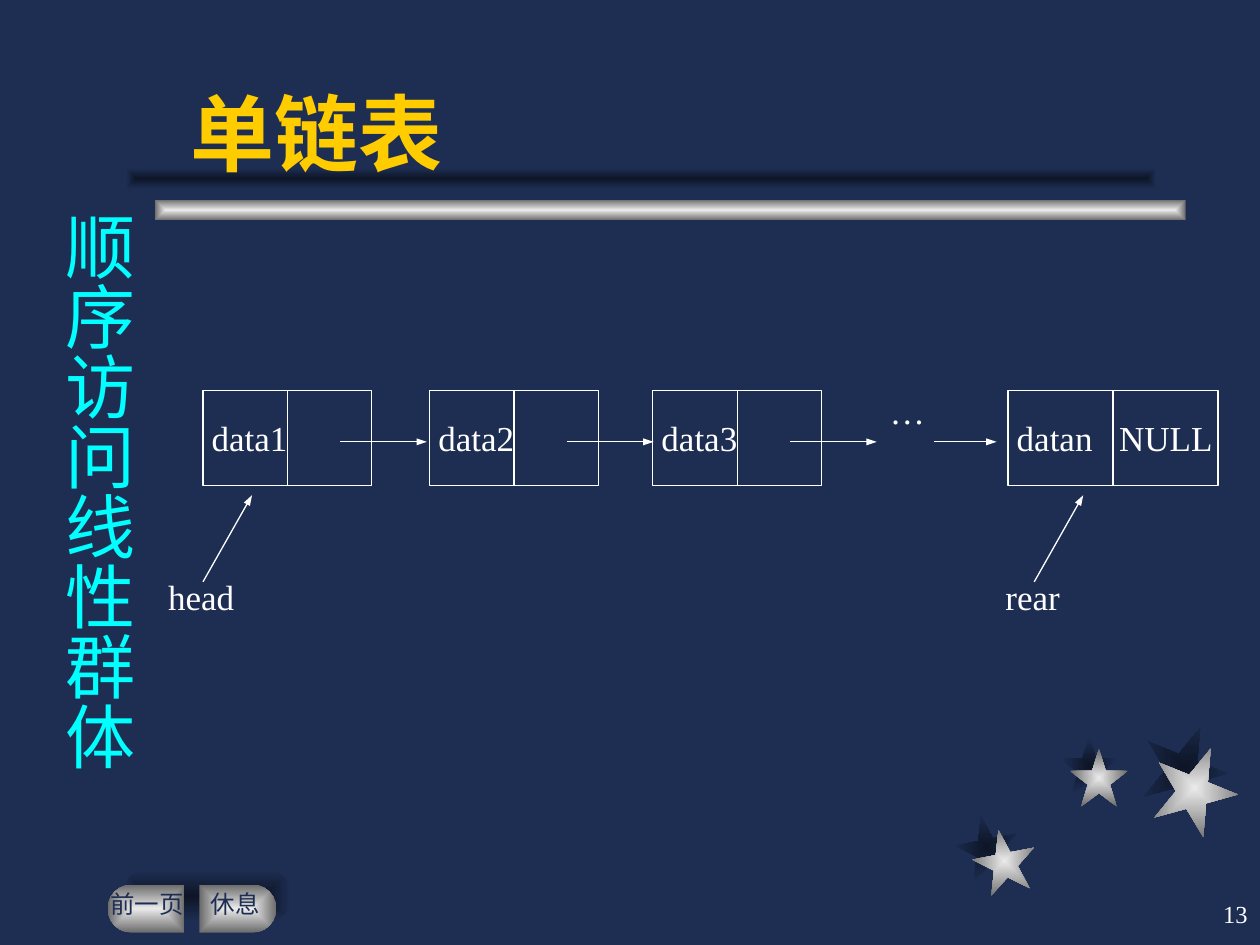
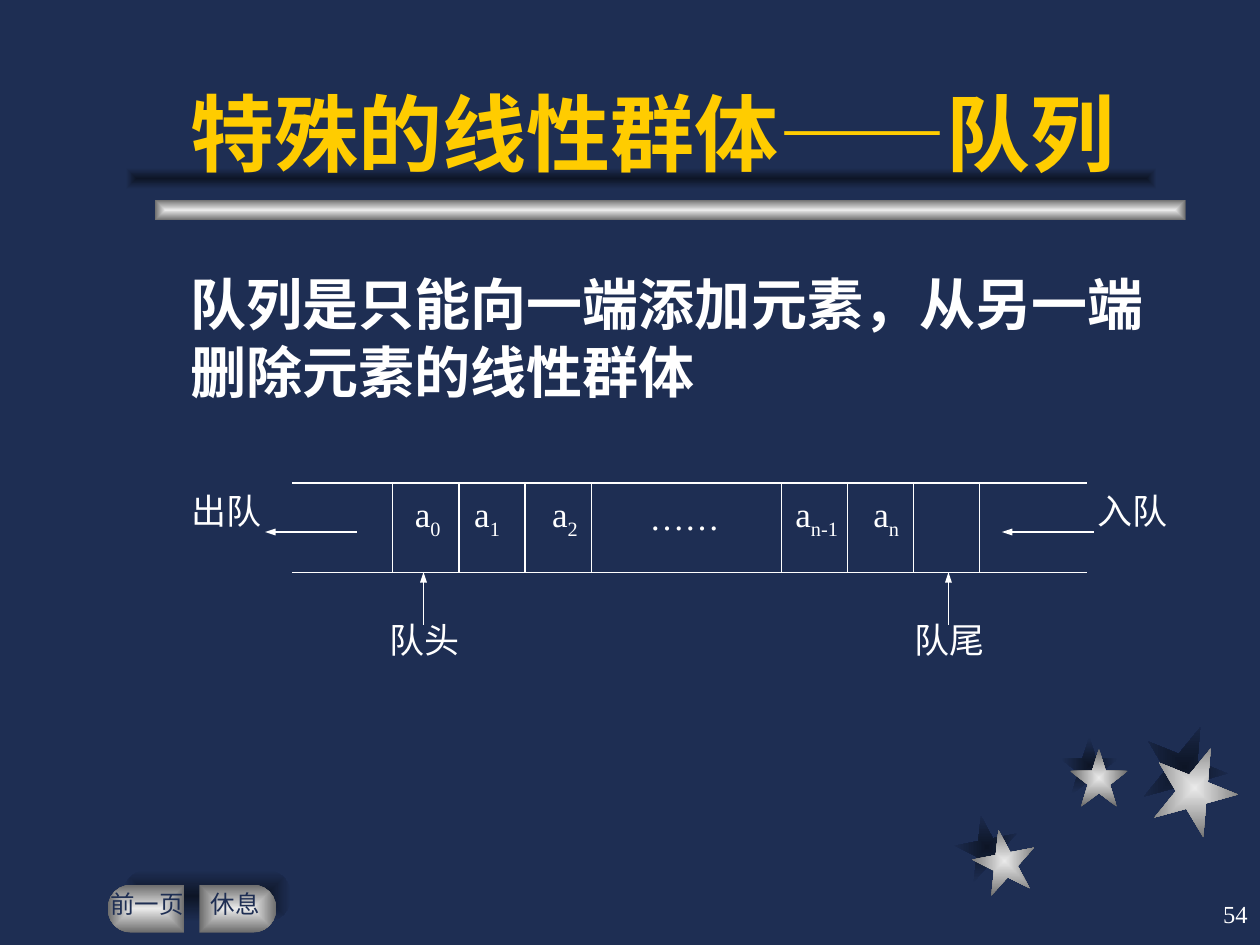
import math

from lxml import etree
from pptx import Presentation
from pptx.dml.color import RGBColor
from pptx.enum.shapes import MSO_CONNECTOR, MSO_SHAPE
from pptx.enum.text import MSO_ANCHOR, PP_ALIGN
from pptx.oxml import parse_xml
from pptx.oxml.ns import nsdecls, qn
from pptx.util import Pt

STRAIGHT = MSO_CONNECTOR.STRAIGHT
RECT, PILL, STAR = MSO_SHAPE.RECTANGLE, MSO_SHAPE.ROUNDED_RECTANGLE, MSO_SHAPE.STAR_5_POINT
LEFT, CENTER, RIGHT = PP_ALIGN.LEFT, PP_ALIGN.CENTER, PP_ALIGN.RIGHT
TOP, MIDDLE, BOTTOM = MSO_ANCHOR.TOP, MSO_ANCHOR.MIDDLE, MSO_ANCHOR.BOTTOM

NAVY, WHITE, GOLD, CYAN = "1E2E53", "FFFFFF", "FFCC00", "00FFFF"
SHADE = ("0D1526", NAVY)
SILVER = ("EAEAEA", "6B6B6B")
SERIF, SANS, HAN = "Times New Roman", "Arial", "Noto Sans CJK SC"
PADDED = (7.2, 3.6, 7.2, 3.6)
FLUSH = (0, 0, 0, 0)


def color(value):
    return RGBColor.from_string(value)


# ---- Drawing helpers ----
def glow(shape, stops):
    """Fill a shape from its centre outwards, without line or shadow."""
    shape.shadow.inherit = False
    shape.line.fill.background()
    shape.fill.background()
    inner, outer = stops
    gradient = parse_xml(
        f'<a:gradFill {nsdecls("a")} rotWithShape="1"><a:gsLst>'
        f'<a:gs pos="0"><a:srgbClr val="{inner}"/></a:gs>'
        f'<a:gs pos="100000"><a:srgbClr val="{outer}"/></a:gs></a:gsLst>'
        '<a:path path="rect"><a:fillToRect l="50000" t="50000" r="50000" b="50000"/>'
        '</a:path></a:gradFill>')
    properties = shape.element.spPr
    properties.replace(properties.find(qn("a:noFill")), gradient)


def glowing(slide, kind, left, top, width, height, stops):
    shape = slide.shapes.add_shape(kind, Pt(left), Pt(top), Pt(width), Pt(height))
    glow(shape, stops)
    return shape


def style(run, size, ink, face, east, bold):
    run.font.size = Pt(size)
    run.font.name = face
    run.font.bold = bold
    run.font.color.rgb = color(ink)
    latin = run.font._element.find(qn("a:latin"))
    east_asian = etree.Element(qn("a:ea"), typeface=east)
    latin.addnext(east_asian)


def write(shape, text, size=20, ink=WHITE, face=SERIF, east=HAN, bold=False,
          align=LEFT, anchor=TOP, insets=FLUSH):
    frame = shape.text_frame
    frame.word_wrap = True
    frame.vertical_anchor = anchor
    (frame.margin_left, frame.margin_top,
     frame.margin_right, frame.margin_bottom) = map(Pt, insets)
    frame.text = text
    paragraph = frame.paragraphs[0]
    paragraph.alignment = align
    style(paragraph.runs[0], size, ink, face, east, bold)
    return paragraph


def label(slide, left, top, width, height, text, **look):
    box = slide.shapes.add_textbox(Pt(left), Pt(top), Pt(width), Pt(height))
    return write(box, text, **look)


def rule(slide, x1, y1, x2, y2, arrow=False):
    line = slide.shapes.add_connector(STRAIGHT, Pt(x1), Pt(y1), Pt(x2), Pt(y2))
    line.line.color.rgb = color(WHITE)
    line.line.width = Pt(0.75)
    if arrow:
        etree.SubElement(line.line._get_or_add_ln(), qn("a:tailEnd"),
                         type="triangle", w="sm", len="med")
    etree.SubElement(line.element.spPr, qn("a:effectLst"))


# ---- Parts every slide shares ----
def stars(slide, left, top):
    # size, rotation, place of the shade, place of the star
    trio = ((36, 349, (0, 52), (10, 60)),
            (33, 0, (60, 7), (65.5, 14)),
            (48.5, 22, (106.5, 0), (112.5, 12)))
    for stops, place in ((SHADE, 2), (SILVER, 3)):
        for star in trio:
            size, turn = star[:2]
            x, y = star[place]
            shape = glowing(slide, STAR, left + x, top + y, size, size, stops)
            shape.rotation = turn


def title_bar(slide, left, top):
    glowing(slide, RECT, left + 16.5, top + 18, 589, 12, SILVER)
    glowing(slide, RECT, left, top, 589, 12, SHADE)


def button(slide, left, top, width, height, side):
    """Half pill: side is -1 when the round end is on the left, 1 on the right."""
    radius = height / 2
    flat = left if side > 0 else left + width
    center = flat + side * (width - radius)
    angles = [math.radians(degrees) for degrees in range(-90, 91, 15)]
    arc = [(Pt(center + side * radius * math.cos(a)),
            Pt(top + radius + radius * math.sin(a))) for a in angles]
    outline = slide.shapes.build_freeform(Pt(flat), Pt(top))
    outline.add_line_segments(arc + [(Pt(flat), Pt(top + height))], close=True)
    glow(outline.convert_to_shape(), SILVER)


def navigation(slide, left, top):
    shade = glowing(slide, PILL, left + 8.5, top, 96.5, 30, SHADE)
    shade.adjustments[0] = 0.5
    button(slide, left, top + 8.5, 44, 27.5, -1)
    button(slide, left + 52.5, top + 8.5, 44, 27.5, 1)
    for x, text in ((-1.5, "前一页"), (49, "休息")):
        label(slide, left + x, top + 11, 48, 17, text, size=14, ink=NAVY, align=CENTER)


def base_slide(deck, title, number):
    slide = deck.slides.add_slide(deck.slide_layouts[6])
    slide.background.fill.solid()
    slide.background.fill.fore_color.rgb = color(NAVY)
    stars(slide, 546, 414)
    title_bar(slide, 72, 96)
    navigation(slide, 61.5, 497)
    label(slide, 102, 18, 564, 90, title, size=48, ink=GOLD, face=SANS, bold=True,
          anchor=BOTTOM, insets=PADDED)
    label(slide, 570, 504, 150, 36, str(number), size=14, align=RIGHT,
          anchor=MIDDLE, insets=PADDED)
    return slide


# ---- Singly linked list ----
def chapter_name(slide, left, top, width, height, text):
    box = slide.shapes.add_textbox(Pt(left), Pt(top), Pt(width), Pt(height))
    write(box, text, size=40, ink=CYAN, face=HAN, insets=(3.6, 7.2, 3.6, 7.2))
    box.text_frame._txBody.bodyPr.set("vert", "eaVert")


def node(slide, left, top, width, height, data):
    cell = slide.shapes.add_shape(RECT, Pt(left), Pt(top), Pt(width), Pt(height))
    cell.shadow.inherit = False
    cell.fill.background()
    cell.line.color.rgb = color(WHITE)
    cell.line.width = Pt(0.75)
    write(cell, data, anchor=MIDDLE, insets=(5, 0, 0, 0))
    rule(slide, left + width / 2, top, left + width / 2, top + height)


def linked_list(slide, left, top):
    height, link = 54.5, top + 29.5
    for number, x in enumerate((0, 129.5, 257), start=1):
        node(slide, left + x, top, 96.5, height, f"data{number}")
        rule(slide, left + x + 78.5, link, left + x + 128, link, arrow=True)
    label(slide, left + 376, top - 4, 53, 59, "…", east=SERIF, align=CENTER, insets=PADDED)
    rule(slide, left + 418, link, left + 453.5, link, arrow=True)
    node(slide, left + 460, top, 120, height, "datan")
    label(slide, left + 523.5, top, 56.5, height, "NULL", anchor=MIDDLE)
    # Pointers to both ends
    for text, x, start in (("head", -20, 0), ("rear", 458.5, 475)):
        label(slide, left + x, top + 106, 63, 43, text)
        rule(slide, left + start, top + 109.5, left + start + 28, top + 60, arrow=True)


# ---- Queue ----
def definition(slide, left, top, width, height, text):
    paragraph = label(slide, left, top, width, height, text, size=32, bold=True,
                      insets=PADDED)
    paragraph.line_spacing = Pt(39)


def element(slide, left, top, index):
    paragraph = label(slide, left, top, 46, 42, "a")
    subscript = paragraph.add_run()
    subscript.text = index
    style(subscript, 20, WHITE, SERIF, HAN, False)
    subscript.font._element.set("baseline", "-25000")


def queue(slide, left, top, width, height):
    bottom = top + height
    for y in (top, bottom):
        rule(slide, left, y, left + width, y)

    # Cells: four borders at the front, four at the rear
    pitch = 37.8
    for first in (57.5, 279.5):
        for step in range(4):
            x = left + first + step * pitch
            rule(slide, x, top, x, bottom)
    for x, index in ((70, "0"), (104, "1"), (148.5, "2"), (287.5, "n-1"), (332, "n")):
        element(slide, left + x, top + 5.5, index)
    label(slide, left + 188, top + 3.5, 72.5, 46, "……", east=SERIF,
          align=CENTER, insets=PADDED)

    # Pointers to head and tail
    for x, text in ((75, "队头"), (375, "队尾")):
        rule(slide, left + x, bottom + 30, left + x, bottom, arrow=True)
        label(slide, left + x - 35.5, top + 74, 72.5, 46, text, align=CENTER, insets=PADDED)

    # Ways out and in
    for text, x, start in (("出队", -73.5, 37), ("入队", 444, 458)):
        flow = top + 28
        rule(slide, left + start, flow, left + start - 52.5, flow, arrow=True)
        label(slide, left + x, top, 72.5, 46, text, align=CENTER, insets=PADDED)


def main():
    deck = Presentation()
    deck.slide_width, deck.slide_height = Pt(720), Pt(540)

    list_slide = base_slide(deck, "单链表", 13)
    chapter_name(list_slide, 21.5, 114, 62, 348, "顺序访问线性群体")
    linked_list(list_slide, 116, 223)

    queue_slide = base_slide(deck, "特殊的线性群体——队列", 54)
    definition(queue_slide, 102, 150, 570, 114,
               "队列是只能向一端添加元素，从另一端删除元素的线性群体")
    queue(queue_slide, 167, 276, 454, 51)

    deck.save("out.pptx")


if __name__ == "__main__":
    main()
